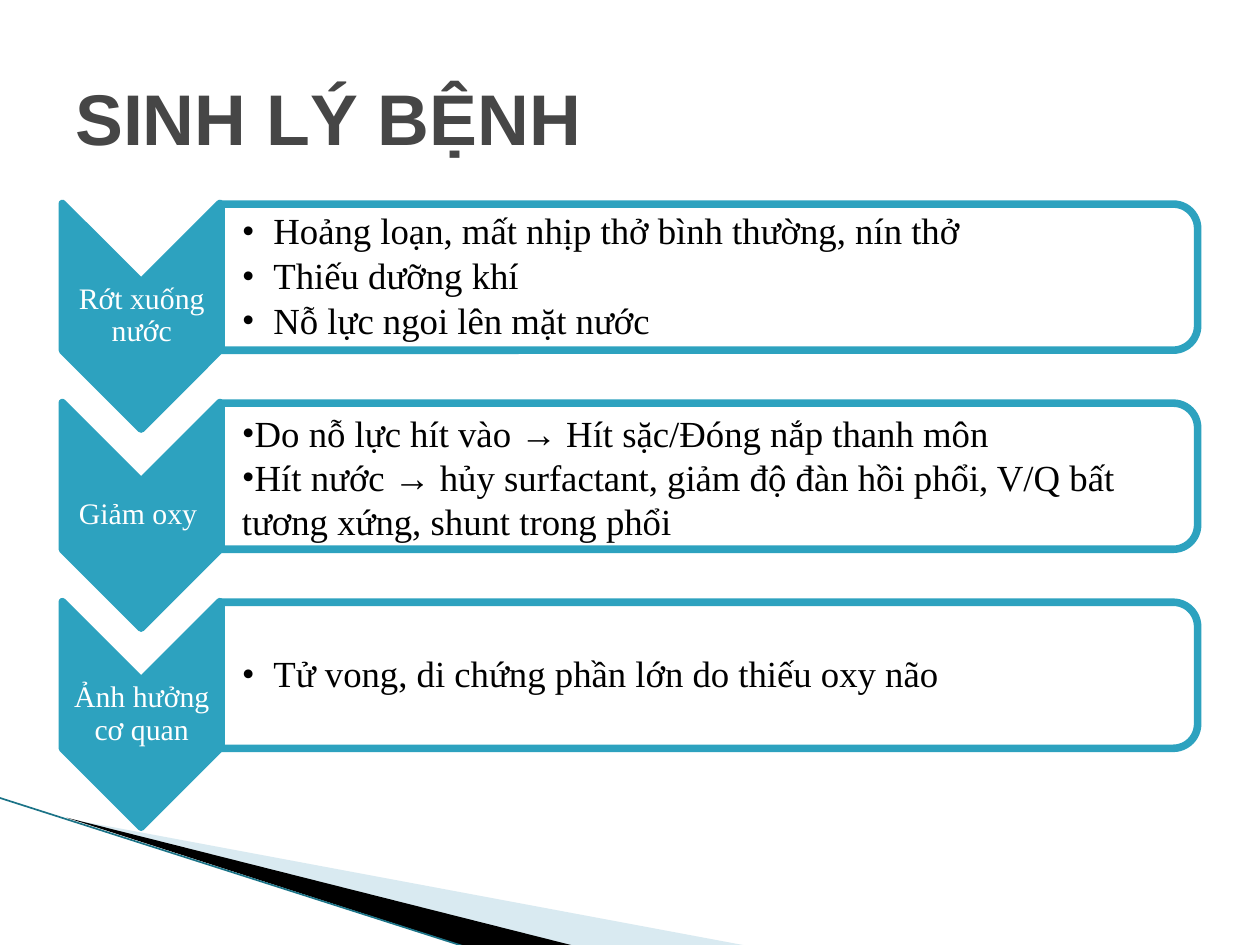
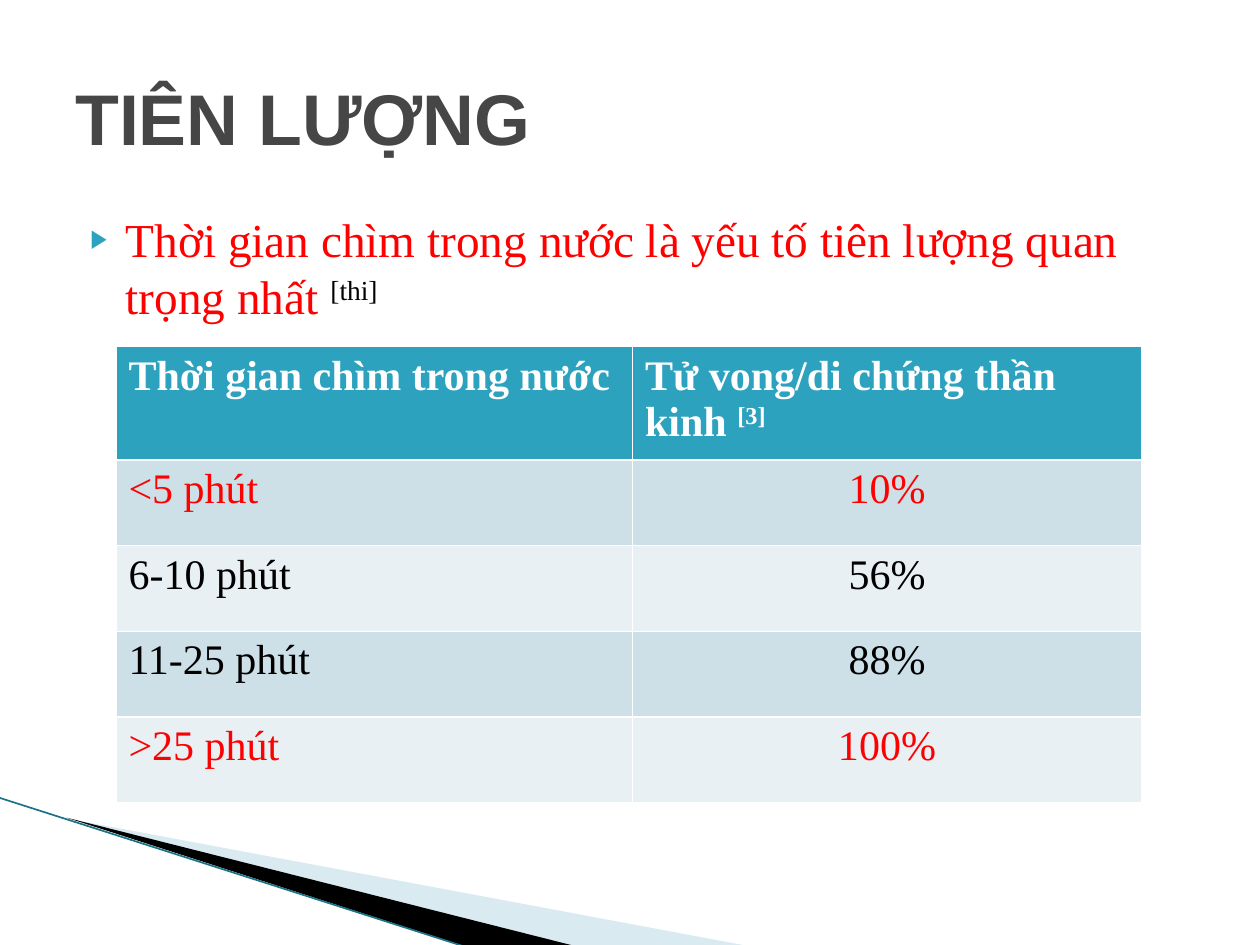
from dataclasses import dataclass

from lxml import etree
from pptx import Presentation
from pptx.dml.color import RGBColor
from pptx.enum.shapes import MSO_CONNECTOR, MSO_SHAPE
from pptx.enum.text import MSO_ANCHOR, PP_ALIGN
from pptx.oxml.ns import qn
from pptx.util import Inches, Pt

CHEVRON = MSO_SHAPE.CHEVRON
ROUNDED_TOP = MSO_SHAPE.ROUND_2_SAME_RECTANGLE
STRAIGHT = MSO_CONNECTOR.STRAIGHT
TOP, MIDDLE = MSO_ANCHOR.TOP, MSO_ANCHOR.MIDDLE
LEFT, CENTER = PP_ALIGN.LEFT, PP_ALIGN.CENTER


@dataclass(frozen=True)
class Theme:
    teal: str = "2DA2BF"
    pale_teal: str = "A0CBDC"
    edge: str = "1B7387"
    heading: str = "464646"
    red: str = "FF0000"
    black: str = "000000"
    white: str = "FFFFFF"
    bands: tuple = ("CDE0E8", "E8F0F4")
    title_font: str = "Arial"
    body_font: str = "Times New Roman"
    title_size: float = 41
    lead_size: float = 27
    table_size: float = 24
    detail_size: float = 21
    stage_size: float = 17
    outline: float = 4.33


THEME = Theme()

STAGES = [
    ("Rớt xuống nước", True, [
        "Hoảng loạn, mất nhịp thở bình thường, nín thở",
        "Thiếu dưỡng khí",
        "Nỗ lực ngoi lên mặt nước",
    ]),
    ("Giảm oxy ", False, [
        "Do nỗ lực hít vào → Hít sặc/Đóng nắp thanh môn",
        "Hít nước → hủy surfactant, giảm độ đàn hồi phổi, V/Q bất tương xứng, "
        "shunt trong phổi",
    ]),
    ("Ảnh hưởng cơ quan", True, ["Tử vong, di chứng phần lớn do thiếu oxy não"]),
]

OUTCOMES = [
    ("<5 phút", "10%", THEME.red),
    ("6-10 phút", "56%", THEME.black),
    ("11-25 phút", "88%", THEME.black),
    (">25 phút", "100%", THEME.red),
]


def rgb(value):
    return RGBColor.from_string(value)


def fill_with(shape, color, opacity=100):
    shape.fill.solid()
    shape.fill.fore_color.rgb = rgb(color)
    if opacity < 100:
        tint = shape.fill._xPr.find(qn("a:solidFill"))[0]
        etree.SubElement(tint, qn("a:alpha"), val=str(opacity * 1000))


def set_font(target, size, color=None, name=THEME.body_font, bold=False):
    target.font.name = name
    target.font.size = Pt(size)
    target.font.bold = bold
    if color:
        target.font.color.rgb = rgb(color)


def add_bullet(paragraph, char, margin=0, hanging=0, color=None, percent=100):
    props = paragraph._p.get_or_add_pPr()
    props.set("marL", str(Inches(margin)))
    props.set("indent", str(-Inches(hanging)))
    if color:
        bullet_color = etree.SubElement(props, qn("a:buClr"))
        etree.SubElement(bullet_color, qn("a:srgbClr"), val=color)
    etree.SubElement(props, qn("a:buSzPct"), val=str(percent * 1000))
    etree.SubElement(props, qn("a:buFont"), typeface=THEME.body_font)
    etree.SubElement(props, qn("a:buChar"), char=char)


def add_superscript(paragraph, text):
    mark = paragraph.add_run()
    mark.text = text
    mark._r.get_or_add_rPr().set("baseline", "30000")
    return mark


def add_text_frame(slide, left, top, width, height, anchor=TOP, insets=None):
    box = slide.shapes.add_textbox(
        Inches(left), Inches(top), Inches(width), Inches(height))
    frame = box.text_frame
    frame.word_wrap = True
    frame.vertical_anchor = anchor
    if insets:
        (frame.margin_left, frame.margin_top,
         frame.margin_right, frame.margin_bottom) = map(Inches, insets)
    return frame


def add_wedge(slide, points, color, opacity=100):
    corners = [(Inches(x), Inches(y)) for x, y in points]
    builder = slide.shapes.build_freeform(*corners[0])
    builder.add_line_segments(corners[1:], close=True)
    wedge = builder.convert_to_shape()
    wedge.shadow.inherit = False
    fill_with(wedge, color, opacity)
    wedge.line.fill.background()


def add_corner_band(slide):
    add_wedge(slide, [(0.55, 6.5), (5.95, 7.51), (4.56, 7.51)], THEME.pale_teal, 40)
    add_wedge(slide, [(0.53, 6.49), (4.57, 7.51), (3.72, 7.52)], THEME.black)
    edge = slide.shapes.add_connector(
        STRAIGHT, Inches(-0.01), Inches(6.33), Inches(3.71), Inches(7.52))
    edge.line.color.rgb = rgb(THEME.edge)
    edge.line.width = Pt(0.95)
    etree.SubElement(edge._element.spPr, qn("a:effectLst"))


def add_titled_slide(deck, title):
    slide = deck.slides.add_slide(deck.slide_layouts[6])
    add_corner_band(slide)
    heading = add_text_frame(slide, 0.5, 0.3, 9, 1.25, MIDDLE).paragraphs[0]
    heading.text = title
    set_font(heading, THEME.title_size, THEME.heading, THEME.title_font, True)
    return slide


def add_turned_shape(slide, kind, center_x, center_y, length, breadth, color, opacity=100):
    shape = slide.shapes.add_shape(
        kind, Inches(center_x - length / 2), Inches(center_y - breadth / 2),
        Inches(length), Inches(breadth))
    shape.rotation = 90
    shape.shadow.inherit = False
    fill_with(shape, color, opacity)
    shape.line.color.rgb = rgb(THEME.teal)
    shape.line.width = Pt(THEME.outline)


def add_stage(slide, top, stage, hanging, details):
    add_turned_shape(slide, CHEVRON, 1.12, top + 0.89, 1.79, 1.25, THEME.teal)
    label = add_text_frame(
        slide, 0.5, top + 0.62, 1.25, 0.54, MIDDLE, [0.01] * 4).paragraphs[0]
    label.text = stage
    label.alignment = CENTER
    label.line_spacing = 0.9
    set_font(label, THEME.stage_size, THEME.white)

    add_turned_shape(slide, ROUNDED_TOP, 5.63, top + 0.58, 1.16, 7.75, THEME.white, 90)
    frame = add_text_frame(
        slide, 1.76, top + 0.06, 7.69, 1.05, MIDDLE, [0.16, 0.01, 0.01, 0.01])
    for index, detail in enumerate(details):
        line = frame.add_paragraph() if index else frame.paragraphs[0]
        line.text = detail
        if hanging:
            line.line_spacing = 0.9
            line.space_after = Pt(3)
            add_bullet(line, "•", 0.25, 0.25)
        else:
            add_bullet(line, "•")
        set_font(line, THEME.detail_size, THEME.black)


def fill_cell(cell, text, fill, color, bold=False, align=LEFT):
    fill_with(cell, fill)
    paragraph = cell.text_frame.paragraphs[0]
    paragraph.text = text
    paragraph.alignment = align
    set_font(paragraph, THEME.table_size, color, bold=bold)
    return paragraph


def add_outcome_table(slide):
    table = slide.shapes.add_table(
        len(OUTCOMES) + 1, 2, Inches(0.92), Inches(2.75),
        Inches(8.14), Inches(3.4)).table
    for column, width in zip(table.columns, (4.1, 4.04)):
        column.width = Inches(width)
    for row in table.rows:
        row.height = Inches(0.68)

    headers = ("Thời gian chìm trong nước", "Tử vong/di chứng thần kinh ")
    for column, header in enumerate(headers):
        heading = fill_cell(
            table.cell(0, column), header, THEME.teal, THEME.white, bold=True)
    add_superscript(heading, "[3]")

    for row, (duration, rate, color) in enumerate(OUTCOMES, 1):
        band = THEME.bands[(row - 1) % 2]
        fill_cell(table.cell(row, 0), duration, band, color)
        fill_cell(table.cell(row, 1), rate, band, color, align=CENTER)


def add_pathophysiology(deck):
    slide = add_titled_slide(deck, "SINH LÝ BỆNH")
    for index, stage in enumerate(STAGES):
        add_stage(slide, 1.62 + 1.58 * index, *stage)


def add_prognosis(deck):
    slide = add_titled_slide(deck, "TIÊN LƯỢNG")
    lead = add_text_frame(slide, 0.5, 1.62, 9, 1.1).paragraphs[0]
    add_bullet(lead, "▶", 0.4, 0.28, THEME.teal, 54)
    set_font(lead, THEME.lead_size)
    statement = lead.add_run()
    statement.text = "Thời gian chìm trong nước là yếu tố tiên lượng quan trọng nhất "
    statement.font.color.rgb = rgb(THEME.red)
    add_superscript(lead, "[thi]").font.color.rgb = rgb(THEME.black)
    add_outcome_table(slide)


def main():
    deck = Presentation()
    deck.slide_width, deck.slide_height = Inches(10), Inches(7.5)
    add_pathophysiology(deck)
    add_prognosis(deck)
    deck.save("out.pptx")


if __name__ == "__main__":
    main()
